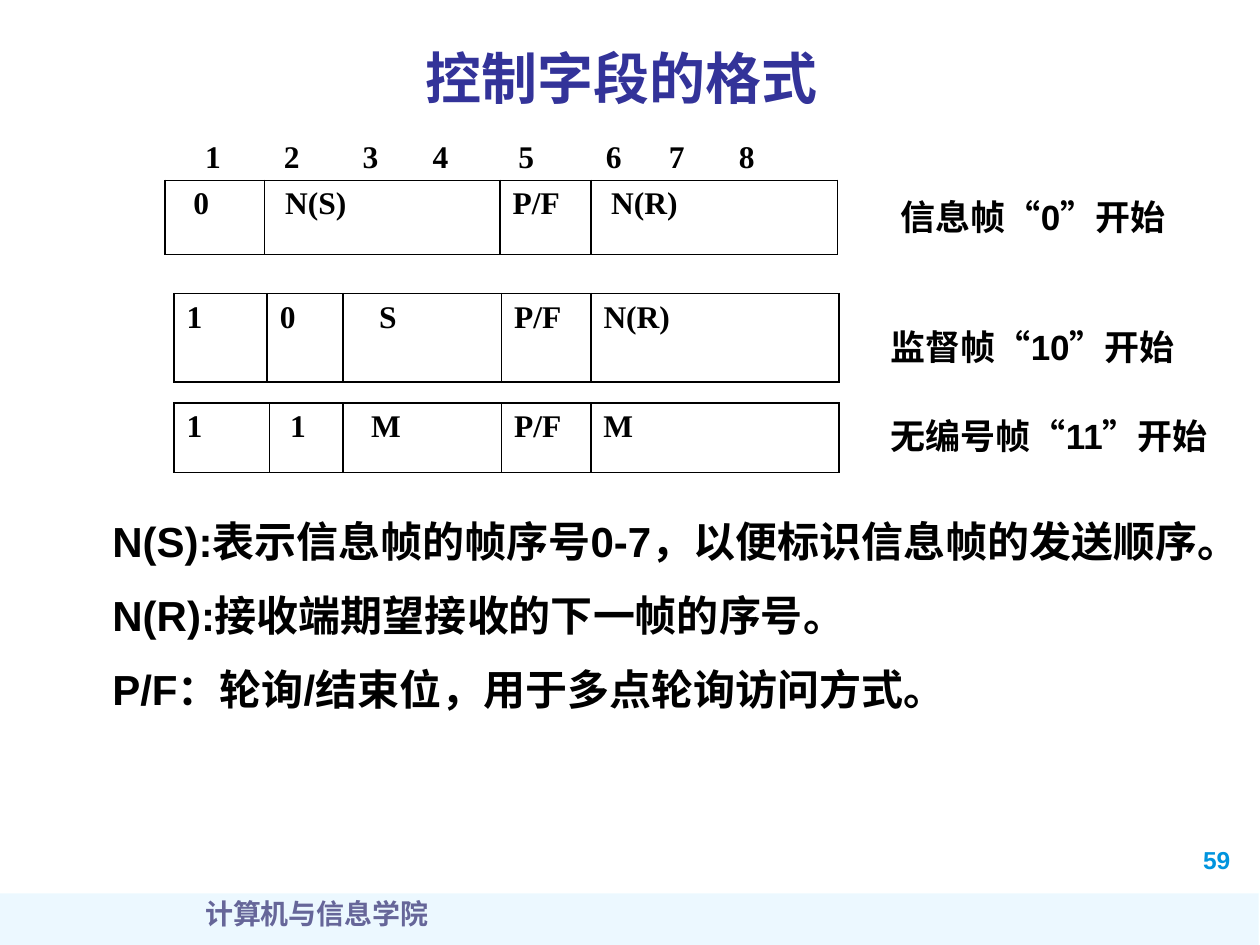
from dataclasses import dataclass

from lxml import etree
from pptx import Presentation
from pptx.dml.color import RGBColor
from pptx.enum.shapes import MSO_SHAPE
from pptx.enum.text import MSO_ANCHOR, MSO_AUTO_SIZE, PP_ALIGN
from pptx.oxml.ns import qn
from pptx.util import Pt

RECTANGLE = MSO_SHAPE.RECTANGLE
TOP, MIDDLE = MSO_ANCHOR.TOP, MSO_ANCHOR.MIDDLE
LEFT, CENTER = PP_ALIGN.LEFT, PP_ALIGN.CENTER
NO_AUTOSIZE = MSO_AUTO_SIZE.NONE
TITLE_ONLY = 5


@dataclass(frozen=True)
class Theme:
    sans: str = "Arial"
    serif: str = "Times New Roman"
    ink: str = "000000"
    title: str = "333399"
    footer: str = "666699"
    number: str = "0094DE"
    bar: str = "A7E2FF"
    shadow: str = "C0C0C0"
    title_size: int = 32
    body_size: int = 24
    label_size: int = 20
    field_size: int = 18
    footer_size: int = 16
    number_size: int = 14


THEME = Theme()

# Each frame: left, top, height, then (width, text, text indent) per field
FRAMES = [
    (94.3, 103, 42.5, [(56.9, "0", 9), (134.6, "N(S)", 4.5),
                       (51.8, "P/F", 0), (141.1, "N(R)", 4.5)]),
    (99.4, 167.8, 50.4, [(53.3, "1", 0), (43.2, "0", 0), (90.7, "S", 13.5),
                         (51.1, "P/F", 0), (141.8, "N(R)", 0)]),
    (99.4, 230.4, 39.6, [(54.7, "1", 0), (41.8, "1", 4.5), (90.7, "M", 9),
                         (51.1, "P/F", 0), (141.8, "M", 0)]),
]
LABELS = [
    (507.6, 108, 167, "信息帧“0”开始"),
    (501.8, 182.2, 177.8, "监督帧“10”开始"),
    (501.8, 233.3, 197.3, "无编号帧“11”开始"),
]
BIT_STOPS = [45, 90, 130, 179, 229, 265, 305]
NOTES = [
    "N(S):表示信息帧的帧序号0-7，以便标识信息帧的发送顺序。",
    "N(R):接收端期望接收的下一帧的序号。",
    "P/F：轮询/结束位，用于多点轮询访问方式。",
]


def add_run(paragraph, text, size, color, font):
    run = paragraph.add_run()
    run.text = text
    run.font.size = Pt(size)
    run.font.bold = True
    run.font.name = font
    run.font.color.rgb = RGBColor.from_string(color)
    return run


def add_text(slide, box, lines, size, color=THEME.ink, font=THEME.sans,
             anchor=MIDDLE, align=LEFT):
    shape = slide.shapes.add_textbox(*(Pt(value) for value in box))
    frame = shape.text_frame
    frame.word_wrap = True
    frame.auto_size = NO_AUTOSIZE
    frame.vertical_anchor = anchor
    for index, line in enumerate(lines):
        paragraph = frame.add_paragraph() if index else frame.paragraphs[0]
        paragraph.alignment = align
        add_run(paragraph, line, size, color, font)
    return frame


def add_title(slide, text):
    title = slide.shapes.title
    title.left, title.top, title.width, title.height = (
        Pt(76.3), Pt(17.3), Pt(558), Pt(54))
    title.text_frame.vertical_anchor = MIDDLE
    paragraph = title.text_frame.paragraphs[0]
    paragraph.alignment = CENTER
    run = add_run(paragraph, text, THEME.title_size, THEME.title, THEME.serif)
    # Soft text shadow, placed right after the text fill
    effects = etree.Element(qn("a:effectLst"))
    shadow = etree.SubElement(effects, qn("a:outerShdw"), dist=str(Pt(2)),
                              dir="2700000")
    etree.SubElement(shadow, qn("a:srgbClr"), val=THEME.shadow)
    run.font._element.find(qn("a:solidFill")).addnext(effects)


def add_footer_bar(slide):
    bar = slide.shapes.add_shape(RECTANGLE, Pt(-0.7), Pt(510.5), Pt(720), Pt(31.7))
    bar.shadow.inherit = False
    bar.line.fill.background()
    bar.fill.solid()
    bar.fill.fore_color.rgb = RGBColor.from_string(THEME.bar)
    color = bar._element.spPr.find(qn("a:solidFill")).find(qn("a:srgbClr"))
    etree.SubElement(color, qn("a:alpha"), val="21000")


def add_borders(cell):
    properties = cell._tc.get_or_add_tcPr()
    for index, side in enumerate(("lnL", "lnR", "lnT", "lnB")):
        line = etree.Element(qn(f"a:{side}"), w=str(Pt(1)))
        fill = etree.SubElement(line, qn("a:solidFill"))
        etree.SubElement(fill, qn("a:srgbClr"), val=THEME.ink)
        properties.insert(index, line)


def add_frame_table(slide, left, top, height, fields):
    width = sum(field[0] for field in fields)
    table = slide.shapes.add_table(1, len(fields), Pt(left), Pt(top),
                                   Pt(width), Pt(height)).table
    table.first_row = table.horz_banding = False
    table.rows[0].height = Pt(height)
    for index, (field_width, text, indent) in enumerate(fields):
        table.columns[index].width = Pt(field_width)
        cell = table.cell(0, index)
        cell.fill.background()
        add_borders(cell)
        paragraph = cell.text_frame.paragraphs[0]
        paragraph._p.get_or_add_pPr().set("marL", str(Pt(indent)))
        add_run(paragraph, text, THEME.field_size, THEME.ink, THEME.serif)


def add_bit_numbers(slide):
    numbers = "\t".join(str(bit) for bit in range(1, 9))
    frame = add_text(slide, (110.2, 74.9, 374.4, 28.8), [numbers],
                     THEME.field_size, font=THEME.serif)
    properties = frame.paragraphs[0]._p.get_or_add_pPr()
    tabs = etree.SubElement(properties, qn("a:tabLst"))
    for stop in BIT_STOPS:
        etree.SubElement(tabs, qn("a:tab"), pos=str(Pt(stop)), algn="l")


def add_notes(slide):
    frame = add_text(slide, (34.6, 281.5, 671, 131), NOTES, THEME.body_size)
    for index, paragraph in enumerate(frame.paragraphs):
        paragraph.line_spacing = 1.3
        paragraph.space_before = Pt(4.8 if index else 0)
        paragraph._p.get_or_add_pPr().set("indent", str(Pt(22.5)))


def main():
    presentation = Presentation()
    presentation.slide_width, presentation.slide_height = Pt(720), Pt(540)
    slide = presentation.slides.add_slide(presentation.slide_layouts[TITLE_ONLY])

    # Footer and page number
    add_footer_bar(slide)
    add_text(slide, (680.4, 479.5, 42.5, 23.8), ["59"], THEME.number_size,
             THEME.number, anchor=TOP)
    add_text(slide, (19.4, 509, 323.3, 36), ["计算机与信息学院"],
             THEME.footer_size, THEME.footer, THEME.serif, TOP, CENTER)

    # Title
    add_title(slide, "控制字段的格式")

    # Frame formats with bit numbers and labels
    add_bit_numbers(slide)
    for frame in FRAMES:
        add_frame_table(slide, *frame)
    for left, top, width, text in LABELS:
        add_text(slide, (left, top, width, 31.7), [text], THEME.label_size)

    # Explanation of the fields
    add_notes(slide)
    presentation.save("out.pptx")


if __name__ == "__main__":
    main()
